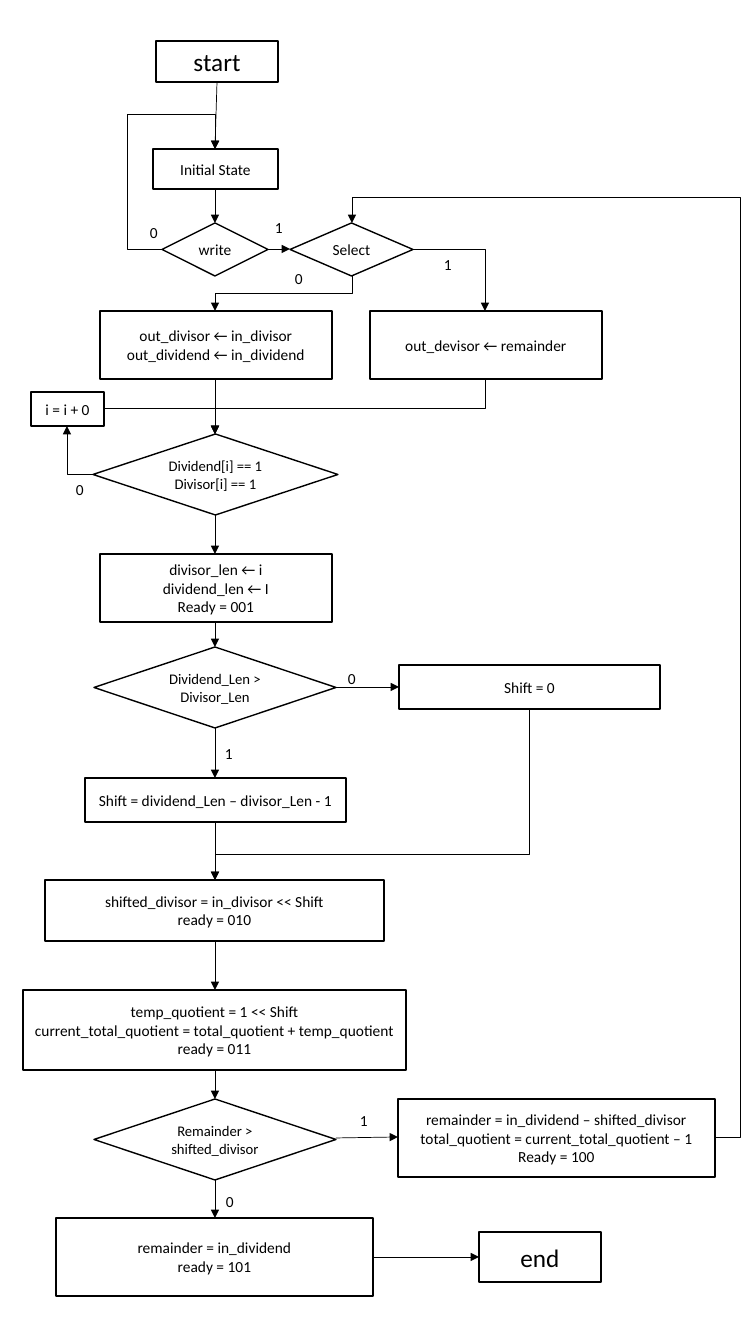
import dataclasses

import lxml.etree
import pptx
import pptx.dml.color
import pptx.enum.shapes
import pptx.enum.text
import pptx.oxml
import pptx.oxml.ns
import pptx.util

BLACK = pptx.dml.color.RGBColor(0, 0, 0)
WHITE = pptx.dml.color.RGBColor(255, 255, 255)
FONT = "Calibri"
SCALE = 914400 / 100.8
RECT = pptx.enum.shapes.MSO_SHAPE.RECTANGLE
DIAMOND = pptx.enum.shapes.MSO_SHAPE.DIAMOND
LINK = pptx.enum.shapes.MSO_CONNECTOR
CENTER = pptx.enum.text.PP_ALIGN.CENTER
LEFT = pptx.enum.text.PP_ALIGN.LEFT
MIDDLE = pptx.enum.text.MSO_ANCHOR.MIDDLE
TOP = pptx.enum.text.MSO_ANCHOR.TOP


def emu(pixels):
    """Turn pixels into EMU."""
    return round(pixels * SCALE)


def add(parent, tag, **attrs):
    """Append a drawing element with the given attributes."""
    node = lxml.etree.SubElement(parent, pptx.oxml.ns.qn(tag))
    for name, value in attrs.items():
        node.set(name, value)
    return node


def write(shape, text, size=11, align=CENTER, anchor=MIDDLE, wrap=True):
    """Write each line of the text as a formatted paragraph."""
    frame = shape.text_frame
    frame.text = text
    frame.word_wrap = wrap
    frame.vertical_anchor = anchor
    for para in frame.paragraphs:
        para.alignment = align
        para.font.size = pptx.util.Pt(size)
        para.font.name = FONT
        para.font.color.rgb = BLACK


@dataclasses.dataclass
class Area:
    """A region of the chart that places its parts from its own corner."""
    shapes: object
    left: int
    top: int

    def step(self, x, y, w, h, text, kind=RECT, size=11, fill=WHITE):
        """Draw one box or decision."""
        shape = self.shapes.add_shape(
            kind, emu(self.left + x), emu(self.top + y), emu(w), emu(h))
        shape.shadow.inherit = False
        if fill is None:
            shape.fill.background()
        else:
            shape.fill.solid()
            shape.fill.fore_color.rgb = fill
        shape.line.color.rgb = BLACK
        shape.line.width = pptx.util.Pt(1)
        write(shape, text, size=size)

    def label(self, x, y, text):
        """Put a branch value beside its arrow."""
        box = self.shapes.add_textbox(
            emu(self.left + x), emu(self.top + y), emu(28), emu(29))
        write(box, text, align=LEFT, anchor=TOP, wrap=False)
        box.text_frame.auto_size = pptx.enum.text.MSO_AUTO_SIZE.SHAPE_TO_FIT_TEXT

    def route(self, *points):
        """Draw an arrow through the points, bent at each inner one."""
        points = [(self.left + x, self.top + y) for x, y in points]
        (ax, ay), (bx, by) = points[0], points[-1]
        bends = len(points) - 2
        turned = bends > 0 and points[1][0] == ax
        dx, dy = bx - ax, by - ay
        u, v = (dy, -dx) if turned else (dx, dy)
        mx, my = (ax + bx) / 2, (ay + by) / 2
        ends = (mx - u / 2, my - v / 2, mx + u / 2, my + v / 2)
        arrow = self.shapes.add_connector(
            LINK.ELBOW if bends else LINK.STRAIGHT, *map(emu, ends))
        arrow.line.color.rgb = BLACK
        arrow.line.width = pptx.util.Pt(0.5)
        props = arrow._element.spPr
        add(props.find(pptx.oxml.ns.qn("a:ln")), "a:tailEnd", type="triangle")
        add(props, "a:effectLst")
        if turned:
            props.find(pptx.oxml.ns.qn("a:xfrm")).set("rot", "5400000")
        if bends:
            shape = props.find(pptx.oxml.ns.qn("a:prstGeom"))
            shape.set("prst", f"bentConnector{bends + 1}")
            guides = shape.find(pptx.oxml.ns.qn("a:avLst"))
            if guides is None:
                guides = add(shape, "a:avLst")
            along = (points[1][1] - ay) / dy if turned else (points[1][0] - ax) / dx
            ratios = [along, (points[2][1] - ay) / dy][:bends - 1]
            for index, ratio in enumerate(ratios, 1):
                add(guides, "a:gd", name=f"adj{index}",
                    fmla=f"val {round(ratio * 100000)}")


def entry(area):
    """Draw the start, the write test and the select test."""
    area.route((162, 249), (127, 249), (127, 114), (215, 114), (215, 149))
    area.step(156, 41, 122, 41, "start", size=18, fill=None)
    area.step(153, 149, 125, 40, "Initial State")
    area.step(162, 223, 106, 53, "write", kind=DIAMOND)
    area.step(290, 223, 123, 53, "Select", kind=DIAMOND)
    area.route((217, 82), (215, 149))
    area.route((215, 189), (215, 223))
    area.route((268, 249), (290, 249))
    area.label(140, 218, "0")
    area.label(265, 213, "1")


def load(area):
    """Draw the loading of operands and the bit test."""
    area.step(100, 51, 232, 68,
              "out_divisor ← in_divisor\nout_dividend ← in_dividend")
    area.step(370, 51, 232, 68, "out_devisor ← remainder")
    area.step(31, 132, 73, 34, "i = i + 0")
    area.step(93, 174, 245, 81, "Dividend[i] == 1\nDivisor[i] == 1",
              kind=DIAMOND, size=10.5)
    area.route((352, 16), (352, 33), (215, 33), (215, 51))
    area.route((413, -11), (485, -11), (485, 51))
    area.route((215, 119), (215, 174))
    area.route((485, 119), (485, 148), (215, 148), (215, 174))
    area.route((104, 148), (215, 148), (215, 174))
    area.route((93, 214), (67, 214), (67, 166))
    area.label(285, 4, "0")
    area.label(434, -10, "1")
    area.label(66, 215, "0")


def shift(area):
    """Draw the length step and the choice of shift."""
    area.step(100, 39, 232, 68, "divisor_len ← i\ndividend_len ← I\nReady = 001")
    area.step(94, 132, 242, 81, "Dividend_Len > Divisor_Len",
              kind=DIAMOND, size=10.5)
    area.step(399, 150, 261, 44, "Shift = 0")
    area.step(85, 263, 261, 44, "Shift = dividend_Len – divisor_Len - 1")
    area.route((215, 0), (215, 39))
    area.route((215, 107), (215, 132))
    area.route((336, 172), (399, 172))
    area.route((215, 213), (215, 263))
    area.label(338, 149, "0")
    area.label(215, 224, "1")


def divide(area):
    """Draw the quotient steps, the remainder test and the end."""
    area.step(45, 58, 339, 61, "shifted_divisor = in_divisor << Shift\nready = 010")
    area.step(23, 168, 383, 80,
              "temp_quotient = 1 << Shift\n"
              "current_total_quotient = total_quotient + temp_quotient\nready = 011")
    area.step(94, 277, 242, 81, "Remainder > shifted_divisor",
              kind=DIAMOND, size=10.5)
    area.step(398, 277, 317, 78,
              "remainder = in_dividend – shifted_divisor\n"
              "total_quotient = current_total_quotient – 1\nReady = 100")
    area.step(56, 396, 317, 78, "remainder = in_dividend\nready = 101")
    area.step(479, 410, 122, 50, "end", size=18, fill=None)
    area.route((529, -112), (529, 32), (215, 32), (215, 58))
    for upper, lower in ((0, 58), (119, 168), (248, 277), (358, 396)):
        area.route((215, upper), (215, lower))
    area.route((336, 316), (398, 315))
    area.route((373, 435), (479, 435))
    area.route((715, 315), (740, 315), (740, -625), (352, -625), (352, -599))
    area.label(216, 365, "0")
    area.label(350, 284, "1")


def main():
    """Build the flow chart slide and save it."""
    deck = pptx.Presentation()
    deck.slide_width, deck.slide_height = emu(756), emu(1344)
    slide = deck.slides.add_slide(deck.slide_layouts[6])
    for draw, top in ((entry, 0), (load, 260), (shift, 515), (divide, 822)):
        draw(Area(slide.shapes, 0, top))
    deck.save("out.pptx")


main()
